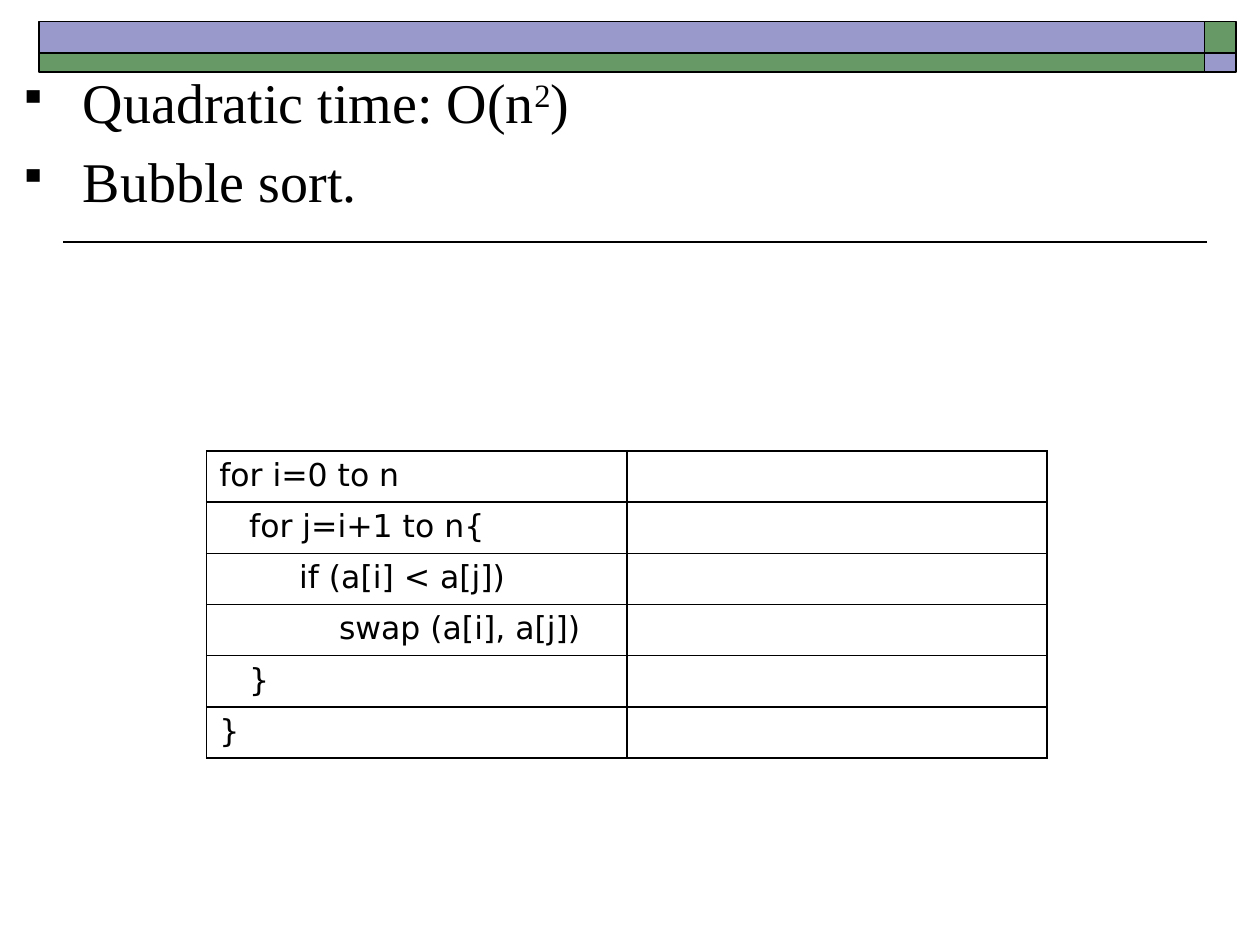
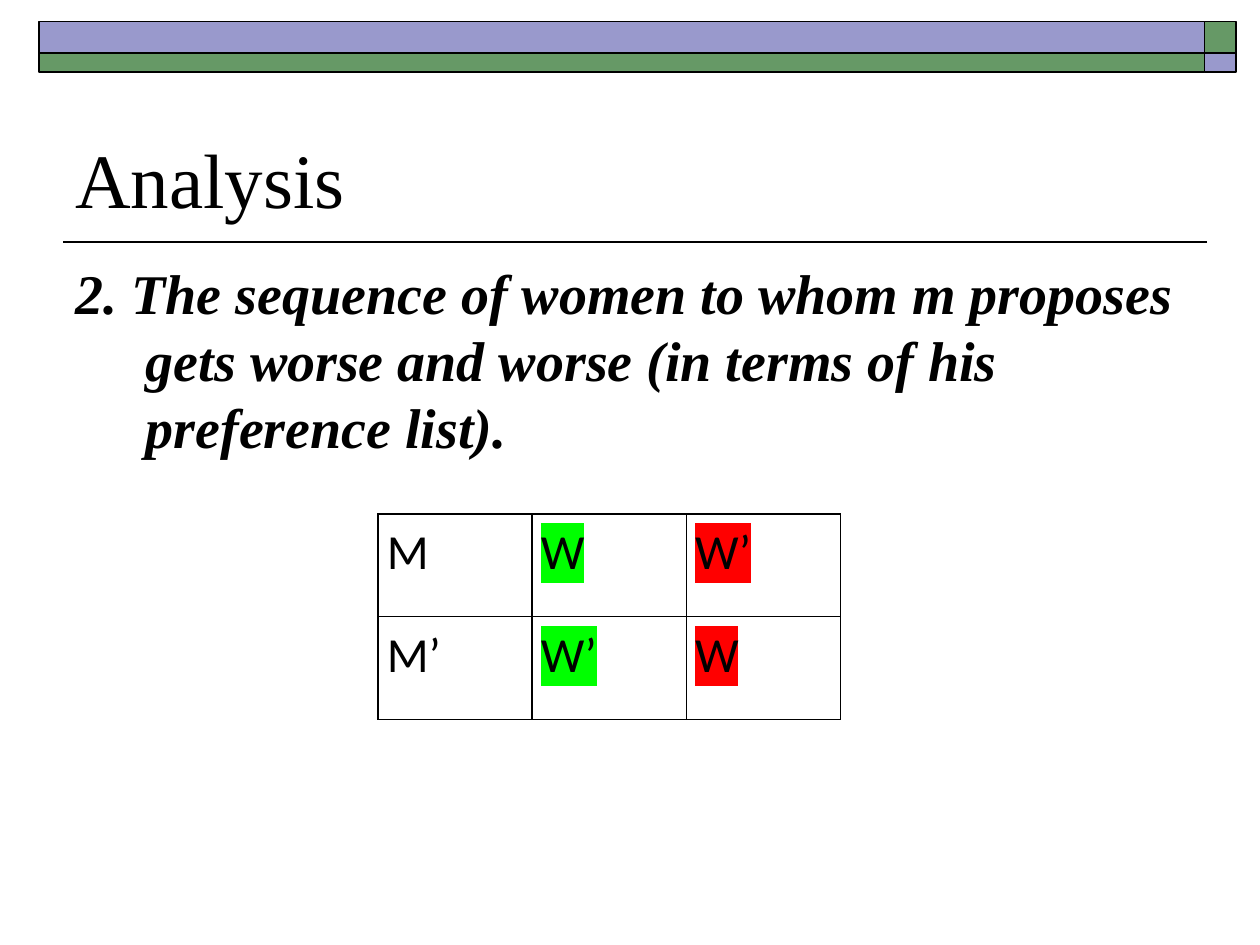
from dataclasses import dataclass

from lxml import etree
from pptx import Presentation
from pptx import util as u
from pptx.dml.color import RGBColor
from pptx.enum import shapes, text
from pptx.oxml import ns

WIDTH, HEIGHT = u.Inches(10), u.Inches(7.5)
BLACK = RGBColor(0x00, 0x00, 0x00)
LILAC = RGBColor(0x99, 0x99, 0xCC)
MOSS = RGBColor(0x66, 0x99, 0x66)
LIME = RGBColor(0x00, 0xFF, 0x00)
RED = RGBColor(0xFF, 0x00, 0x00)
SERIF = "Times New Roman"


@dataclass(frozen=True)
class Box:
    """Position and size in percent of the slide."""
    left: float
    top: float
    width: float
    height: float

    def emu(self) -> tuple[int, int, int, int]:
        return (int(WIDTH * self.left / 100), int(HEIGHT * self.top / 100),
                int(WIDTH * self.width / 100), int(HEIGHT * self.height / 100))


@dataclass(frozen=True)
class Band:
    box: Box
    color: RGBColor


@dataclass(frozen=True)
class Cell:
    text: str = ""
    highlight: RGBColor | None = None


BANDS = [
    Band(Box(95.6, 2.27, 2.5, 3.33), MOSS),
    Band(Box(3.1, 2.27, 92.5, 3.33), LILAC),
    Band(Box(3.1, 5.6, 92.5, 2), MOSS),
    Band(Box(95.6, 5.6, 2.5, 2), LILAC),
]
RULE = Box(5, 25.6, 90.8, 0)
BUBBLE_SORT = [
    "for i=0 to n",
    "   for j=i+1 to n{",
    "        if (a[i] < a[j])",
    "            swap (a[i], a[j])",
    "   }",
    "}",
]
PREFERENCES = [
    [Cell("M"), Cell("W", LIME), Cell("W’", RED)],
    [Cell("M’"), Cell("W’", LIME), Cell("W", RED)],
]


def sub(parent, tag: str, **attrs):
    return etree.SubElement(parent, ns.qn(tag), attrs)


def write(p, content: str, *, size: float, font: str = SERIF, bold: bool = False,
          italic: bool = False, superscript: bool = False,
          highlight: RGBColor | None = None) -> None:
    r = p.add_run()
    r.text = content
    f = r.font
    f.size, f.bold, f.italic = u.Pt(size), bold, italic
    f.color.rgb = BLACK
    f.name = font
    rpr = r._r.get_or_add_rPr()
    if superscript:
        rpr.set("baseline", "30000")
    if highlight is not None:
        mark = etree.Element(ns.qn("a:highlight"))
        sub(mark, "a:srgbClr", val=str(highlight))
        rpr.find(ns.qn("a:solidFill")).addnext(mark)


def hang(p, inches: float, bullet: str = "") -> None:
    ppr = p._p.get_or_add_pPr()
    ppr.set("marL", str(u.Inches(inches)))
    ppr.set("indent", str(-u.Inches(inches)))
    if bullet:
        sub(sub(ppr, "a:buClr"), "a:srgbClr", val=str(BLACK))
        sub(ppr, "a:buSzPct", val="70000")
        sub(ppr, "a:buChar", char=bullet)


def add_text_box(s, box: Box, anchor=text.MSO_ANCHOR.TOP):
    tf = s.shapes.add_textbox(*box.emu()).text_frame
    tf.word_wrap = True
    tf.vertical_anchor = anchor
    return tf


def add_frame(s) -> None:
    left, top, width, _ = RULE.emu()
    rule = s.shapes.add_connector(shapes.MSO_CONNECTOR.STRAIGHT,
                                  left + width, top, left, top)
    rule.line.color.rgb, rule.line.width = BLACK, u.Pt(1)
    sub(rule._element.spPr, "a:effectLst")
    for band in BANDS:
        sp = s.shapes.add_shape(shapes.MSO_SHAPE.RECTANGLE, *band.box.emu())
        sp.shadow.inherit = False
        sp.fill.solid()
        sp.fill.fore_color.rgb = band.color
        sp.line.color.rgb, sp.line.width = BLACK, u.Pt(1)


def add_borders(cell) -> None:
    tcpr = cell._tc.get_or_add_tcPr()
    for i, side in enumerate(("a:lnL", "a:lnR", "a:lnT", "a:lnB")):
        ln = etree.Element(ns.qn(side), w=str(u.Pt(1)))
        sub(sub(ln, "a:solidFill"), "a:srgbClr", val=str(BLACK))
        tcpr.insert(i, ln)


def add_grid(s, box: Box, rows: list[list[Cell]], *, size: float, font: str,
             margins: tuple[float, float] = (0.1, 0.05),
             spacing: float | None = None) -> None:
    table = s.shapes.add_table(len(rows), len(rows[0]), *box.emu()).table
    table.first_row = table.horz_banding = False
    side, end = map(u.Inches, margins)
    for i, row in enumerate(rows):
        for j, item in enumerate(row):
            cell = table.cell(i, j)
            cell.fill.background()
            add_borders(cell)
            cell.margin_left = cell.margin_right = side
            cell.margin_top = cell.margin_bottom = end
            p = cell.text_frame.paragraphs[0]
            if spacing:
                p.line_spacing = spacing
            if item.text:
                write(p, item.text, size=size, font=font, highlight=item.highlight)


def build_quadratic(s) -> None:
    add_frame(s)
    tf = add_text_box(s, Box(0.5, 6.53, 99, 92.53))
    p = tf.paragraphs[0]
    hang(p, 0.51, "▪")
    write(p, "Quadratic time: O(n", size=32)
    write(p, "2", size=32, superscript=True)
    write(p, ")", size=32)
    p = tf.add_paragraph()
    hang(p, 0.51, "▪")
    p.space_before = u.Pt(6.4)
    write(p, "Bubble sort.", size=32)
    add_grid(s, Box(16.4, 47.73, 66.7, 32.5),
             [[Cell(line), Cell()] for line in BUBBLE_SORT],
             size=18, font="DejaVu Sans")


def build_analysis(s) -> None:
    add_frame(s)
    tf = add_text_box(s, Box(5, 7.73, 90, 16.67), text.MSO_ANCHOR.BOTTOM)
    write(tf.paragraphs[0], "Analysis", size=44)
    p = add_text_box(s, Box(5, 26.67, 90, 62.67)).paragraphs[0]
    hang(p, 0.56)
    write(p, "2. The sequence of women to whom m proposes gets worse and worse "
             "(in terms of his preference list).", size=32, bold=True, italic=True)
    add_grid(s, Box(30, 54.4, 36.7, 21.73), PREFERENCES, size=28,
             font="Calibri", margins=(0.07, 0), spacing=1.15)


def main() -> None:
    prs = Presentation()
    prs.slide_width, prs.slide_height = WIDTH, HEIGHT
    for build in (build_quadratic, build_analysis):
        build(prs.slides.add_slide(prs.slide_layouts[6]))
    prs.save("out.pptx")


if __name__ == "__main__":
    main()
